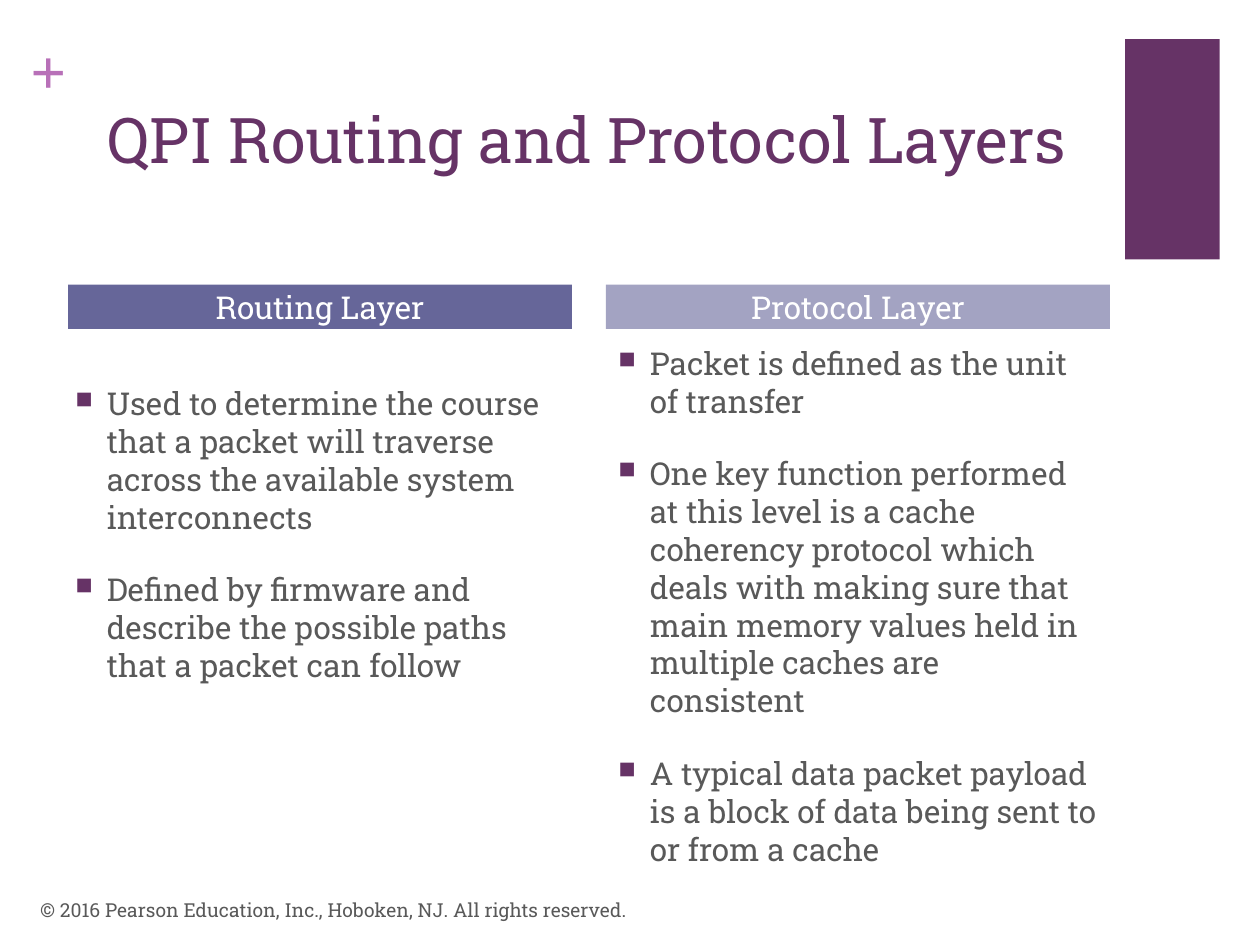
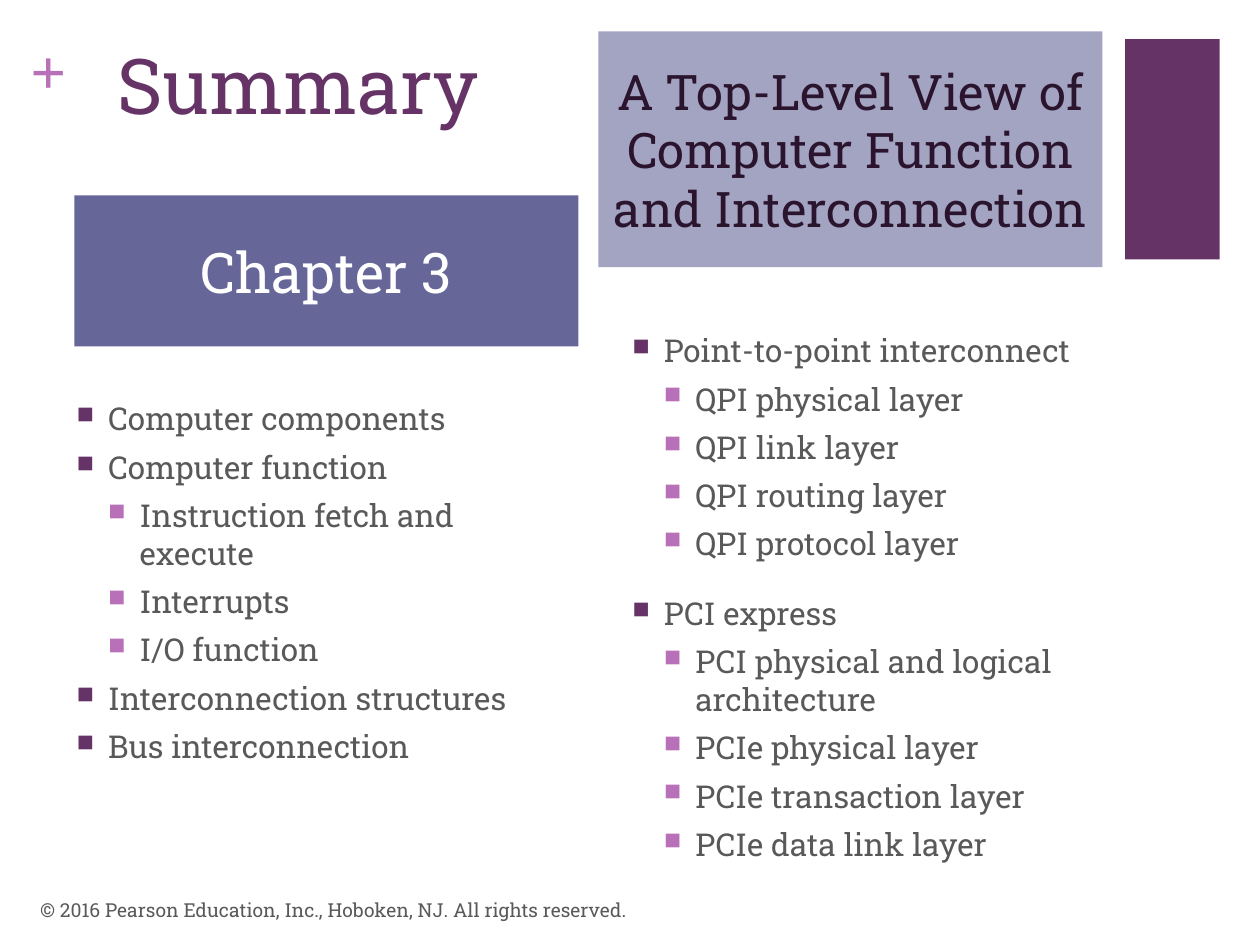
import pptx
import pptx.util
import pptx.dml.color
import pptx.enum.shapes
import pptx.enum.text
import pptx.oxml.ns
import lxml.etree

RGB = pptx.dml.color.RGBColor
ANCHOR = pptx.enum.text.MSO_ANCHOR
ALIGN = pptx.enum.text.PP_ALIGN
RECT = pptx.enum.shapes.MSO_SHAPE.RECTANGLE
Pt = pptx.util.Pt

# Scale: 100 px to the inch
PX = 9144
INDENT = 25 * PX

# Shared look
PLUM = RGB(0x66, 0x33, 0x66)
PINK = RGB(0xB8, 0x70, 0xB8)
SLATE = RGB(0x66, 0x66, 0x99)
LILAC = RGB(0xA3, 0xA3, 0xC2)
DARK = RGB(0x2B, 0x14, 0x2D)
GRAY = RGB(0x59, 0x59, 0x59)
WHITE = RGB(0xFF, 0xFF, 0xFF)
FACE = "Roboto Slab"
RIGHTS = "© 2016 Pearson Education, Inc., Hoboken, NJ. All rights reserved."

# Each slide: title (text, size, place), bands (text, size, ink, fill, place),
# lists (place, space before each level, items as (level, text))
PAGES = [
    {
        "title": ("QPI Routing and Protocol Layers", 36, (75, 75, 826, 122)),
        "bands": [
            ("Routing Layer", 18, WHITE, SLATE, (54, 226, 400, 35)),
            ("Protocol Layer", 18, WHITE, LILAC, (481, 226, 400, 35)),
        ],
        "lists": [
            ((50, 300, 400, 402), (20, 20), [
                (0, "Used to determine the course that a packet will traverse "
                    "across the available system interconnects"),
                (0, "Defined by firmware and describe the possible paths "
                    "that a packet can follow"),
            ]),
            ((481, 268, 400, 449), (20, 20), [
                (0, "Packet is defined as the unit of transfer"),
                (0, "One key function performed at this level is a cache "
                    "coherency protocol which deals with making sure that main "
                    "memory values held in multiple caches are consistent"),
                (0, "A typical data packet payload is a block of data being "
                    "sent to or from a cache"),
            ]),
        ],
    },
    {
        "title": ("Summary", 44, (83, 25, 375, 122)),
        "bands": [
            ("Chapter 3", 32, WHITE, SLATE, (59, 155, 400, 120)),
            ("A Top-Level View of Computer Function and Interconnection",
             28, DARK, LILAC, (475, 25, 400, 187)),
        ],
        "lists": [
            ((51, 312, 400, 475), (6, 6), [
                (0, "Computer components"),
                (0, "Computer function"),
                (1, "Instruction fetch and execute"),
                (1, "Interrupts"),
                (1, "I/O function"),
                (0, "Interconnection structures"),
                (0, "Bus interconnection"),
            ]),
            ((492, 258, 417, 517), (18, 6), [
                (0, "Point-to-point interconnect"),
                (1, "QPI physical layer"),
                (1, "QPI link layer"),
                (1, "QPI routing layer"),
                (1, "QPI protocol layer"),
                (0, "PCI express"),
                (1, "PCI physical and logical architecture"),
                (1, "PCIe physical layer"),
                (1, "PCIe transaction layer"),
                (1, "PCIe data link layer"),
            ]),
        ],
    },
]


def write(para, text, size, ink, face=FACE):
    para.text = text
    para.font.size = Pt(size)
    para.font.name = face
    para.font.color.rgb = ink


def block(slide, place, fill):
    shape = slide.shapes.add_shape(RECT, *[n * PX for n in place])
    shape.shadow.inherit = False
    shape.fill.solid()
    shape.fill.fore_color.rgb = fill
    shape.line.fill.background()
    return shape


deck = pptx.Presentation()
deck.slide_width = 1000 * PX
deck.slide_height = 750 * PX

for page in PAGES:
    slide = deck.slides.add_slide(deck.slide_layouts[5])

    # Corner block and plus sign
    block(slide, (893, 31, 75, 175), PLUM)
    plus = slide.shapes.add_textbox(24 * PX, 25 * PX, 29 * PX, 61 * PX)
    frame = plus.text_frame
    frame.margin_left = frame.margin_right = 0
    frame.margin_top = frame.margin_bottom = 0
    write(frame.paragraphs[0], "+", 36, PINK, "Times New Roman")
    frame.paragraphs[0].font.bold = True

    # Title
    text, size, place = page["title"]
    title = slide.shapes.title
    title.left, title.top, title.width, title.height = [n * PX for n in place]
    frame = title.text_frame
    frame.word_wrap = True
    frame.auto_size = pptx.enum.text.MSO_AUTO_SIZE.NONE
    frame.vertical_anchor = ANCHOR.TOP
    write(frame.paragraphs[0], text, size, PLUM)
    frame.paragraphs[0].alignment = ALIGN.LEFT

    # Bulleted lists
    for place, gaps, items in page["lists"]:
        box = slide.shapes.add_textbox(*[n * PX for n in place])
        frame = box.text_frame
        frame.word_wrap = True
        for i, (level, text) in enumerate(items):
            para = frame.add_paragraph() if i else frame.paragraphs[0]
            para.level = level
            if i:
                para.space_before = Pt(gaps[level])
            props = para._p.get_or_add_pPr()
            props.set("marL", str(INDENT * (level + 1)))
            props.set("indent", str(-INDENT))
            tint = lxml.etree.SubElement(props, pptx.oxml.ns.qn("a:buClr"))
            lxml.etree.SubElement(tint, pptx.oxml.ns.qn("a:srgbClr"),
                                  val=str(PINK if level else PLUM))
            lxml.etree.SubElement(props, pptx.oxml.ns.qn("a:buSzPct"), val="75000")
            lxml.etree.SubElement(props, pptx.oxml.ns.qn("a:buChar"), char="■")
            write(para, text, 18, GRAY)

    # Heading bands
    for text, size, ink, fill, place in page["bands"]:
        frame = block(slide, place, fill).text_frame
        frame.word_wrap = True
        frame.margin_top = frame.margin_bottom = 0
        frame.vertical_anchor = ANCHOR.MIDDLE
        write(frame.paragraphs[0], text, size, ink)
        frame.paragraphs[0].alignment = ALIGN.CENTER

    # Copyright line
    foot = slide.shapes.add_textbox(22 * PX, 702 * PX, 670 * PX, 40 * PX)
    foot.text_frame.word_wrap = True
    foot.text_frame.vertical_anchor = ANCHOR.MIDDLE
    write(foot.text_frame.paragraphs[0], RIGHTS, 11, GRAY)

deck.save("out.pptx")
